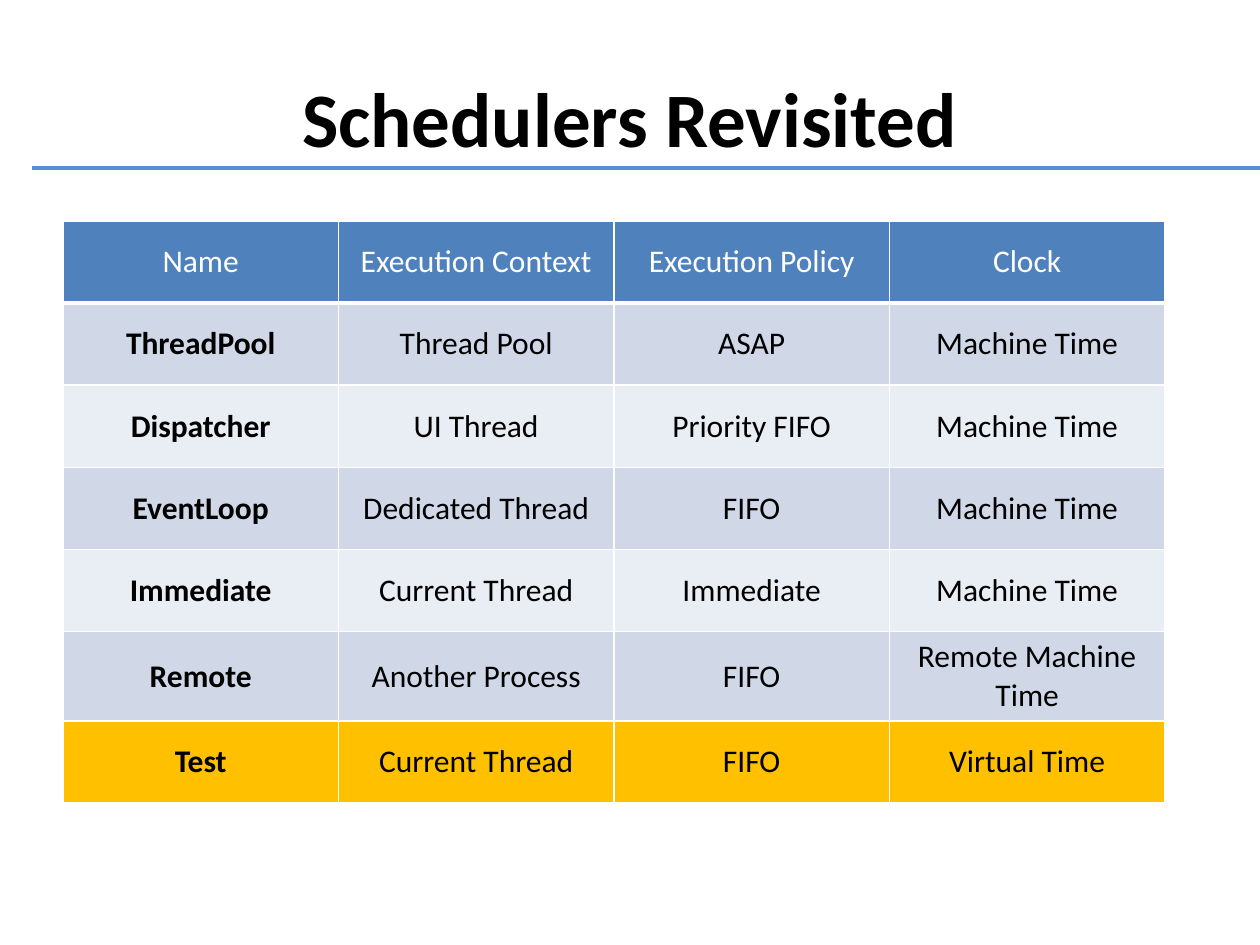
from dataclasses import dataclass

from lxml.etree import SubElement
from pptx import Presentation
from pptx.dml.color import RGBColor
from pptx.enum.shapes import MSO_CONNECTOR
from pptx.enum.text import MSO_ANCHOR, PP_ALIGN
from pptx.oxml.ns import qn
from pptx.util import Emu, Pt


@dataclass(frozen=True)
class Theme:
    font: str = "Calibri"
    title_size: int = 44
    cell_size: int = 18
    text: str = "000000"
    header_text: str = "FFFFFF"
    rule: str = "558ED5"
    header: str = "4F81BD"
    bands: tuple = ("D0D8E8", "E9EDF4")
    highlight: str = "FFC000"
    border: str = "FFFFFF"


THEME = Theme()
EMU_PER_INCH = 914400
PX_PER_INCH = 126

SCHEDULERS = [
    ("Name", "Execution Context", "Execution Policy", "Clock"),
    ("ThreadPool", "Thread Pool", "ASAP", "Machine Time"),
    ("Dispatcher", "UI Thread", "Priority FIFO", "Machine Time"),
    ("EventLoop", "Dedicated Thread", "FIFO", "Machine Time"),
    ("Immediate", "Current Thread", "Immediate", "Machine Time"),
    ("Remote", "Another Process", "FIFO", "Remote Machine Time"),
    ("Test", "Current Thread", "FIFO", "Virtual Time"),
]


def px(length):
    return Emu(round(length * EMU_PER_INCH / PX_PER_INCH))


def write_centred(frame, text, size, color, bold):
    frame.text = text
    para = frame.paragraphs[0]
    para.alignment = PP_ALIGN.CENTER
    font = para.runs[0].font
    font.name = THEME.font
    font.size = Pt(size)
    font.bold = bold
    font.color.rgb = RGBColor.from_string(color)


def add_heading(page, left, top, width, height):
    title = page.shapes.title
    title.left, title.top = px(left), px(top)
    title.width, title.height = px(width), px(height)
    title.text_frame.vertical_anchor = MSO_ANCHOR.MIDDLE
    write_centred(title.text_frame, "Schedulers Revisited", THEME.title_size, THEME.text, True)

    rule_left, rule_y = left - 31, top + 130
    rule = page.shapes.add_connector(
        MSO_CONNECTOR.STRAIGHT, px(rule_left), px(rule_y), px(left + width + 63), px(rule_y)
    )
    rule.line.color.rgb = RGBColor.from_string(THEME.rule)
    rule.line.width = Pt(2)
    SubElement(rule.element.spPr, qn("a:effectLst"))


def set_borders(cell, bottom_width):
    properties = cell._tc.get_or_add_tcPr()
    for side, width in (("L", 1), ("R", 1), ("T", 1), ("B", bottom_width)):
        edge = SubElement(properties, qn(f"a:ln{side}"), w=str(Pt(width)))
        fill = SubElement(edge, qn("a:solidFill"))
        SubElement(fill, qn("a:srgbClr"), val=THEME.border)


def row_fill(row):
    if row == 0:
        return THEME.header
    if row == len(SCHEDULERS) - 1:
        return THEME.highlight
    return THEME.bands[(row - 1) % 2]


def add_scheduler_table(page, left, top, width, height):
    row_count, column_count = len(SCHEDULERS), len(SCHEDULERS[0])
    table = page.shapes.add_table(
        row_count, column_count, px(left), px(top), px(width), px(height)
    ).table
    for column in table.columns:
        column.width = px(width / column_count)
    for row, values in enumerate(SCHEDULERS):
        table.rows[row].height = px(height / row_count)
        is_header = row == 0
        for column, value in enumerate(values):
            cell = table.cell(row, column)
            set_borders(cell, 3 if is_header else 1)
            cell.fill.solid()
            cell.fill.fore_color.rgb = RGBColor.from_string(row_fill(row))
            cell.vertical_anchor = MSO_ANCHOR.MIDDLE
            color = THEME.header_text if is_header else THEME.text
            bold = column == 0 and not is_header
            write_centred(cell.text_frame, value, THEME.cell_size, color, bold)


def main():
    deck = Presentation()
    deck.slide_width, deck.slide_height = px(1260), px(945)
    page = deck.slides.add_slide(deck.slide_layouts[5])
    add_heading(page, 63, 38, 1134, 157)
    add_scheduler_table(page, 63, 221, 1102, 575)
    deck.save("out.pptx")


if __name__ == "__main__":
    main()
